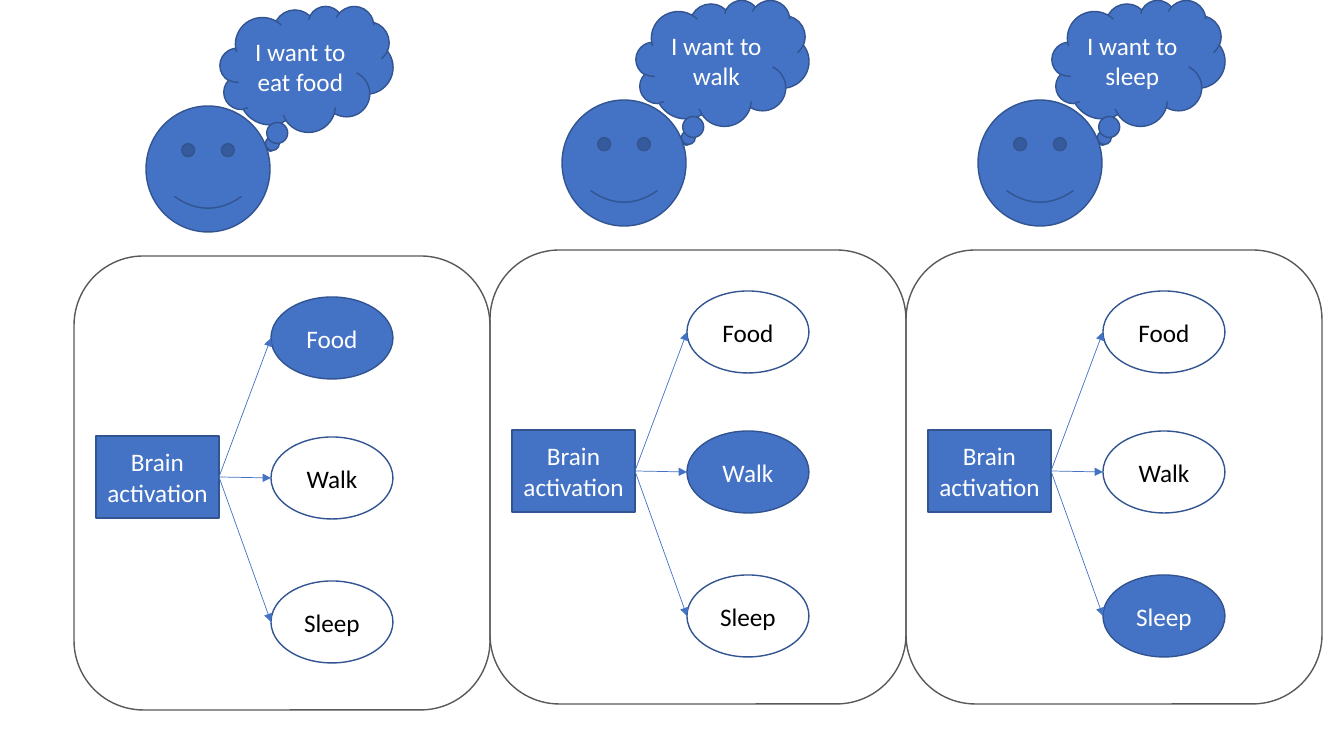
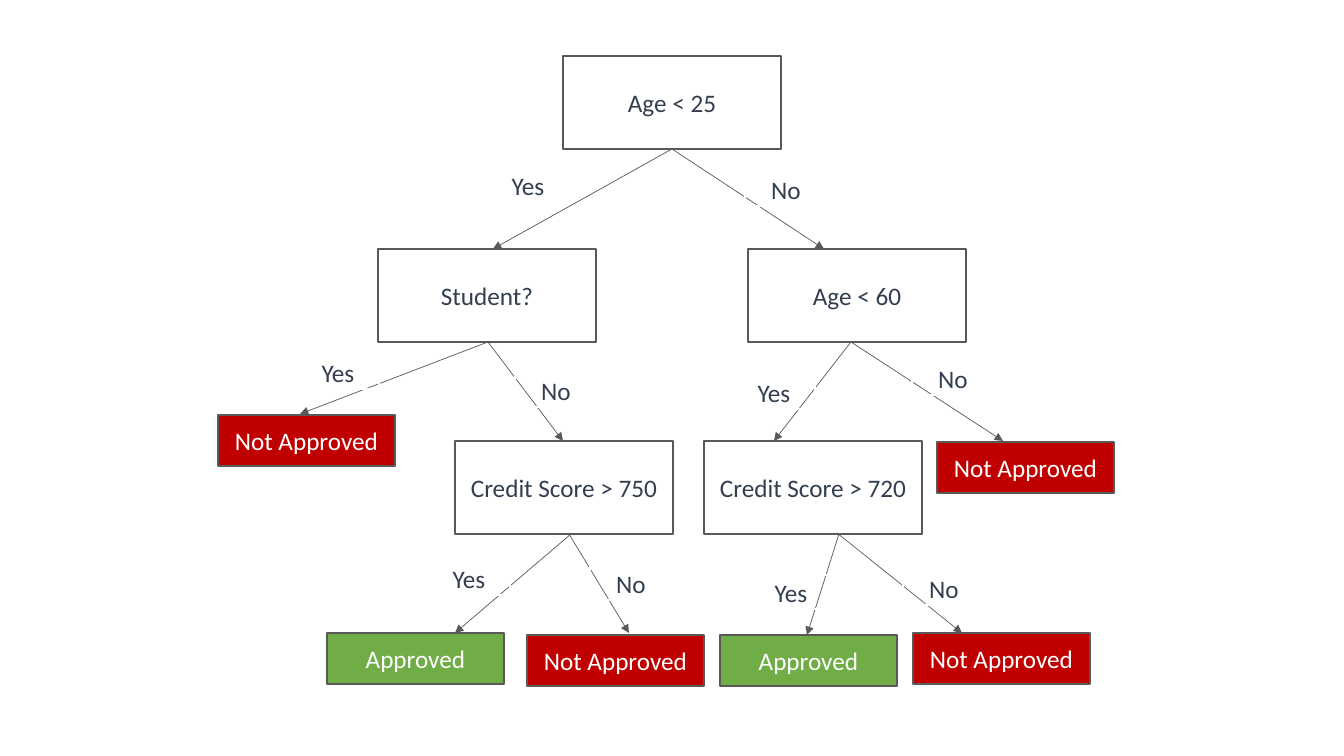
"""Two slides on decisions: brain activation panels and a credit approval tree."""
from dataclasses import dataclass

from lxml import etree
from pptx import Presentation
from pptx import util as u
from pptx.dml.color import RGBColor
from pptx.enum import shapes, text
from pptx.oxml.ns import qn

PIXEL = 914400 / 100.8
SHAPE = shapes.MSO_SHAPE


@dataclass(frozen=True)
class Theme:
    """Colours, font and sizes shared by the slides."""
    font: str = "Calibri"
    size: int = 18
    outline: float = 1
    arrow: float = 0.5
    white: str = "FFFFFF"
    black: str = "000000"
    blue: str = "4472C4"
    navy: str = "325491"
    grey: str = "595959"
    ink: str = "333F50"
    red: str = "C00000"
    green: str = "70AD47"


THEME = Theme()


def px(length):
    """Turn pixels into EMU."""
    return u.Emu(round(length * PIXEL))


class Painter:
    """Draws themed elements on the current slide."""

    def __init__(self, deck, theme):
        """Keep the deck and its theme."""
        self.deck, self.theme, self.page = deck, theme, None

    def new_page(self):
        """Start a blank slide."""
        self.page = self.deck.slides.add_slide(self.deck.slide_layouts[6])

    def shape(self, kind, left, top, width, height, line, fill=None,
              words="", ink=None):
        """Add a preset shape with optional fill and centred text."""
        box = self.page.shapes.add_shape(
            kind, px(left), px(top), px(width), px(height))
        box.shadow.inherit = False
        box.line.color.rgb = RGBColor.from_string(line)
        box.line.width = u.Pt(self.theme.outline)
        if fill:
            box.fill.solid()
            box.fill.fore_color.rgb = RGBColor.from_string(fill)
        else:
            box.fill.background()
        if words:
            self.label(box, words, ink or self.theme.white)

    def label(self, box, words, ink):
        """Put one centred paragraph into a box."""
        frame = box.text_frame
        frame.word_wrap = True
        frame.vertical_anchor = text.MSO_ANCHOR.MIDDLE
        para = frame.paragraphs[0]
        para.text = words
        para.alignment = text.PP_ALIGN.CENTER
        para.font.name = self.theme.font
        para.font.size = u.Pt(self.theme.size)
        para.font.color.rgb = RGBColor.from_string(ink)

    def arrow(self, start, end, color):
        """Add a thin straight arrow between two points."""
        link = self.page.shapes.add_connector(
            shapes.MSO_CONNECTOR.STRAIGHT, *map(px, start + end))
        link.line.color.rgb = RGBColor.from_string(color)
        link.line.width = u.Pt(self.theme.arrow)
        properties = link._element.spPr
        etree.SubElement(properties.find(qn("a:ln")), qn("a:tailEnd"),
                         type="triangle")
        etree.SubElement(properties, qn("a:effectLst"))


ACTIONS = {"Food": 41, "Walk": 181, "Sleep": 325}  # top within a panel
PANEL_LEFT, PANEL_PITCH = 74, 416
PANELS = [("I want to eat food", "Food", 256),
          ("I want to walk", "Walk", 250),
          ("I want to sleep", "Sleep", 250)]


def draw_panel(painter, left, top, thought, active):
    """Draw a thinking face above the actions its brain can activate."""
    theme = painter.theme
    half = 41
    painter.shape(SHAPE.ROUNDED_RECTANGLE, left, top, 416, 454, theme.grey)
    painter.shape(SHAPE.SMILEY_FACE, left + 72, top - 150, 124, 126,
                  theme.navy, theme.blue)
    painter.shape(SHAPE.CLOUD_CALLOUT, left + 146, top - 250, 173, 126,
                  theme.navy, theme.blue, thought)
    painter.shape(SHAPE.RECTANGLE, left + 22, top + 180, 123, 2 * half,
                  theme.navy, theme.blue, "Brain activation")
    for action, offset in ACTIONS.items():
        chosen = action == active
        painter.shape(SHAPE.OVAL, left + 197, top + offset, 122, 2 * half,
                      theme.navy, theme.blue if chosen else None, action,
                      theme.white if chosen else theme.black)
        painter.arrow((left + 145, top + 180 + half),
                      (left + 197, top + offset + half), theme.blue)


def draw_brain(painter):
    """Draw the three panels side by side."""
    painter.new_page()
    for column, (thought, active, top) in enumerate(PANELS):
        draw_panel(painter, PANEL_LEFT + column * PANEL_PITCH, top,
                   thought, active)


QUESTIONS = [("Age < 25", 563, 56),
             ("Student?", 378, 249), ("Age < 60", 748, 249),
             ("Credit Score > 750", 455, 441),
             ("Credit Score > 720", 704, 441)]
OUTCOME_FILLS = {"Approved": THEME.green, "Not Approved": THEME.red}
OUTCOMES = [("Not Approved", 218, 415), ("Not Approved", 937, 442),
            ("Approved", 327, 633), ("Not Approved", 527, 635),
            ("Approved", 720, 635), ("Not Approved", 913, 633)]
# Arrow start, arrow end, answer, top left of the answer
BRANCHES = [((672, 149), (493, 249), "Yes", (487, 168)),
            ((672, 149), (824, 249), "No", (745, 172)),
            ((488, 342), (300, 414), "Yes", (297, 355)),
            ((488, 342), (563, 441), "No", (515, 373)),
            ((851, 342), (774, 441), "Yes", (733, 375)),
            ((851, 342), (1003, 441), "No", (912, 361)),
            ((571, 534), (455, 633), "Yes", (428, 561)),
            ((569, 534), (629, 633), "No", (590, 566)),
            ((839, 534), (807, 635), "Yes", (750, 575)),
            ((837, 533), (962, 633), "No", (903, 571))]


def draw_tree(painter):
    """Draw the decision tree with its questions, answers and outcomes."""
    theme = painter.theme
    painter.new_page()
    for start, end, _, _ in BRANCHES:
        painter.arrow(start, end, theme.grey)
    for question, left, top in QUESTIONS:
        painter.shape(SHAPE.RECTANGLE, left, top, 218, 93, theme.grey,
                      words=question, ink=theme.ink)
    for outcome, left, top in OUTCOMES:
        painter.shape(SHAPE.RECTANGLE, left, top, 177, 51, theme.grey,
                      OUTCOME_FILLS[outcome], outcome)
    for _, _, answer, (left, top) in BRANCHES:
        painter.shape(SHAPE.RECTANGLE, left, top, 82, 34, theme.white,
                      words=answer, ink=theme.ink)


def main():
    """Build and save the deck."""
    deck = Presentation()
    deck.slide_width, deck.slide_height = px(1344), px(756)
    painter = Painter(deck, THEME)
    draw_brain(painter)
    draw_tree(painter)
    deck.save("out.pptx")


main()
